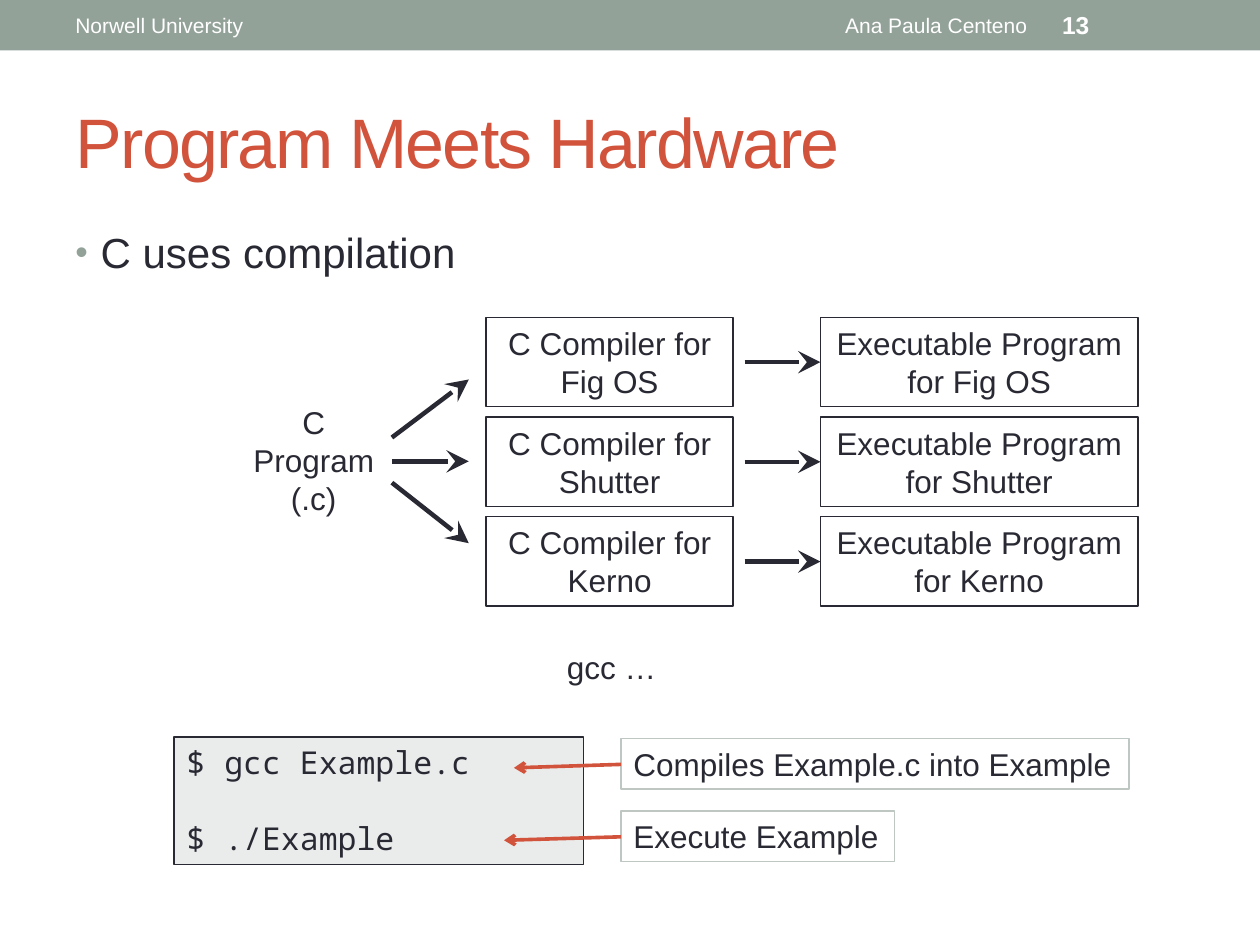
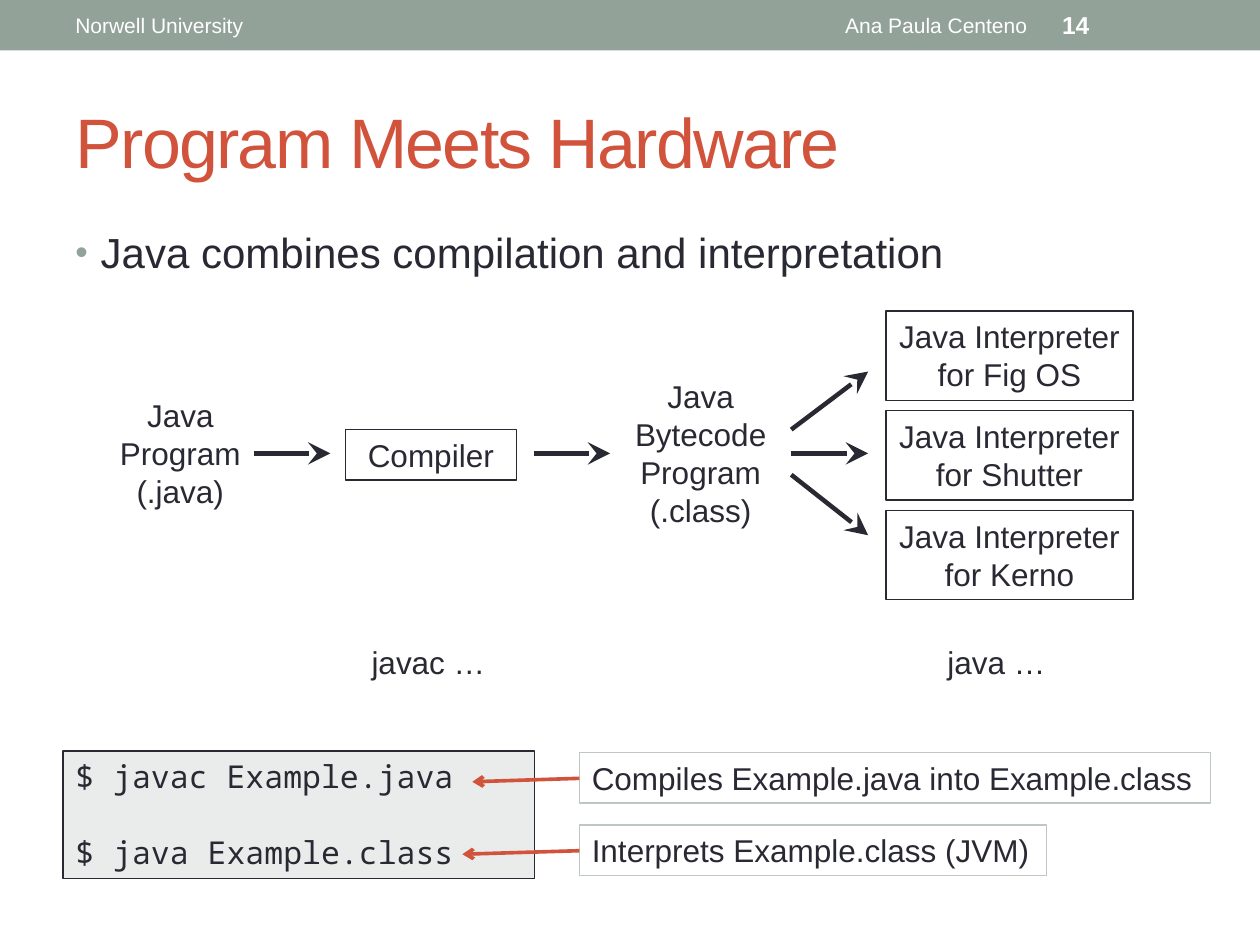
from dataclasses import dataclass
from typing import Optional

from lxml.etree import SubElement
from pptx import Presentation
from pptx.dml.color import RGBColor
from pptx.enum.shapes import MSO_CONNECTOR, MSO_SHAPE
from pptx.enum.text import MSO_ANCHOR, MSO_AUTO_SIZE, PP_ALIGN
from pptx.oxml.ns import qn
from pptx.util import Cm, Pt

# Colours and fonts
SAGE = RGBColor(0x93, 0xA2, 0x99)
PALE_SAGE = RGBColor(0xBE, 0xC7, 0xC2)
TERMINAL_GREY = RGBColor(0xE9, 0xEC, 0xEB)
RUST = RGBColor(0xD2, 0x53, 0x3C)
INK = RGBColor(0x29, 0x29, 0x34)
WHITE = RGBColor(0xFF, 0xFF, 0xFF)
SANS = "Arial"
MONO = "Noto Sans Mono"

# Shared measures, in centimetres unless a Pt
LINE_PITCH = Pt(21.7)
ONE_LINE, TWO_LINES, THREE_LINES, FOUR_LINES = 1.02, 1.8, 2.57, 3.33
ROW_STEP = 2.01
NOTE_STEP = 1.46
SYSTEMS = ("Fig OS", "Shutter", "Kerno")


@dataclass(frozen=True)
class Area:
    left: float
    top: float
    width: float
    height: float

    def lengths(self) -> tuple:
        return Cm(self.left), Cm(self.top), Cm(self.width), Cm(self.height)


@dataclass(frozen=True)
class TextStyle:
    size: float = 18
    color: RGBColor = INK
    font: str = SANS
    bold: bool = False
    align: PP_ALIGN = PP_ALIGN.LEFT
    anchor: MSO_ANCHOR = MSO_ANCHOR.TOP
    pitch: Optional[int] = None
    gap: int = 0


@dataclass(frozen=True)
class ArrowStyle:
    color: RGBColor
    width: float
    head: str
    head_size: str


@dataclass(frozen=True)
class Note:
    text: str
    width: float
    reach: float


TITLE = TextStyle(40, RUST, anchor=MSO_ANCHOR.MIDDLE)
BULLET = TextStyle(24)
BAND_LEFT = TextStyle(12, WHITE, anchor=MSO_ANCHOR.MIDDLE)
BAND_RIGHT = TextStyle(12, WHITE, align=PP_ALIGN.RIGHT, anchor=MSO_ANCHOR.MIDDLE)
BAND_NUMBER = TextStyle(14, WHITE, bold=True, anchor=MSO_ANCHOR.MIDDLE)
PLAIN = TextStyle(pitch=LINE_PITCH)
CENTERED = TextStyle(align=PP_ALIGN.CENTER, pitch=LINE_PITCH)
CODE = TextStyle(font=MONO, pitch=LINE_PITCH, gap=LINE_PITCH)

FLOW_ARROW = ArrowStyle(INK, 2.58, "stealth", "lg")
NOTE_ARROW = ArrowStyle(RUST, 2.08, "arrow", "med")


def apply(target, values: dict) -> None:
    for name, value in values.items():
        setattr(target, name, value)


def write(shape, text: str, style: TextStyle) -> None:
    """Fill a shape with text, one paragraph per line."""
    frame = shape.text_frame
    apply(frame, {"text": text, "word_wrap": True,
                  "auto_size": MSO_AUTO_SIZE.NONE,
                  "vertical_anchor": style.anchor})
    for index, paragraph in enumerate(frame.paragraphs):
        paragraph.alignment = style.align
        if style.pitch:
            paragraph.line_spacing = style.pitch
        if index and style.gap:
            paragraph.space_before = style.gap
        for run in paragraph.runs:
            apply(run.font, {"name": style.font, "size": Pt(style.size),
                             "bold": style.bold})
            run.font.color.rgb = style.color


def add_text(slide, area: Area, text: str, style: TextStyle):
    shape = slide.shapes.add_textbox(*area.lengths())
    write(shape, text, style)
    return shape


def add_box(slide, area: Area, text: str = "", style: TextStyle = CENTERED,
            line: Optional[RGBColor] = INK, fill: Optional[RGBColor] = None) -> None:
    shape = slide.shapes.add_shape(MSO_SHAPE.RECTANGLE, *area.lengths())
    shape.shadow.inherit = False
    if fill is None:
        shape.fill.background()
    else:
        shape.fill.solid()
        shape.fill.fore_color.rgb = fill
    if line is None:
        shape.line.fill.background()
    else:
        shape.line.color.rgb = line
        shape.line.width = Pt(0.75)
    if text:
        write(shape, text, style)


def add_arrow(slide, start: tuple, end: tuple, style: ArrowStyle = FLOW_ARROW) -> None:
    arrow = slide.shapes.add_connector(
        MSO_CONNECTOR.STRAIGHT, *(Cm(value) for value in (*start, *end)))
    arrow.line.color.rgb = style.color
    arrow.line.width = Pt(style.width)
    tail = SubElement(arrow.line._get_or_add_ln(), qn("a:tailEnd"))
    for name, value in (("type", style.head), ("w", style.head_size),
                        ("len", style.head_size)):
        tail.set(name, value)
    SubElement(arrow._element.spPr, qn("a:effectLst"))


def add_bullet(slide, text: str) -> None:
    shape = add_text(slide, Area(1.27, 4.45, 22.86, 2.34), text, BULLET)
    paragraph = shape.text_frame.paragraphs[0]
    paragraph.space_before = Pt(4.8)
    properties = paragraph._p.get_or_add_pPr()
    properties.set("marL", str(Cm(0.51)))
    properties.set("indent", str(-Cm(0.51)))
    color = SubElement(properties, qn("a:buClr"))
    SubElement(color, qn("a:srgbClr")).set("val", str(SAGE))
    SubElement(properties, qn("a:buSzPct")).set("val", "85000")
    SubElement(properties, qn("a:buFont")).set("typeface", SANS)
    SubElement(properties, qn("a:buChar")).set("char", "•")


def start_slide(presentation, number: int, bullet: str):
    """Add a slide with its band, title and bullet."""
    slide = presentation.slides.add_slide(presentation.slide_layouts[5])
    add_box(slide, Area(0, 0, 25.4, 1.02), line=None, fill=SAGE)
    title = slide.shapes.title
    apply(title, dict(zip(("left", "top", "width", "height"),
                          Area(1.27, 1.47, 22.86, 2.74).lengths())))
    write(title, "Program Meets Hardware", TITLE)
    for run in title.text_frame.paragraphs[0].runs:
        run.font._element.set("spc", "-100")
    add_bullet(slide, bullet)
    add_text(slide, Area(1.27, 0.05, 8.05, 0.91), "Norwell University", BAND_LEFT)
    add_text(slide, Area(9.53, 0.05, 11.43, 0.91), "Ana Paula Centeno", BAND_RIGHT)
    add_text(slide, Area(21.16, 0.05, 2.97, 0.91), str(number), BAND_NUMBER)
    return slide


def add_system_boxes(slide, left: float, top: float, width: float, label: str) -> None:
    """Stack one box for each operating system."""
    for row, system in enumerate(SYSTEMS):
        add_box(slide, Area(left, top + row * ROW_STEP, width, TWO_LINES),
                f"{label} {system}")


def add_fan(slide, left: float, middle: float) -> None:
    """Spread three arrows towards the stacked boxes."""
    for start, end in ((-0.48, -1.65), (0, 0), (0.43, 1.65)):
        add_arrow(slide, (left, middle + start), (left + 1.55, middle + end))


def add_terminal(slide, area: Area, commands: str, note_left: float,
                 notes: tuple) -> None:
    """Draw the command window and the notes that point into it."""
    add_box(slide, area, commands, CODE, fill=TERMINAL_GREY)
    for row, note in enumerate(notes):
        top = area.top + 0.03 + row * NOTE_STEP
        add_box(slide, Area(note_left, top, note.width, ONE_LINE), note.text,
                PLAIN, line=PALE_SAGE)
        add_arrow(slide, (note_left, top + 0.52),
                  (note_left - note.reach, top + 0.59), NOTE_ARROW)


def build_c_slide(presentation) -> None:
    slide = start_slide(presentation, 13, "C uses compilation")
    # Program, compilers and executables
    add_text(slide, Area(4.85, 8, 2.95, THREE_LINES), "C Program\n(.c)", CENTERED)
    add_fan(slide, 7.9, 9.3)
    add_system_boxes(slide, 9.8, 6.4, 4.98, "C Compiler for")
    add_system_boxes(slide, 16.54, 6.4, 6.4, "Executable Program for")
    for row in range(len(SYSTEMS)):
        middle = 7.3 + row * ROW_STEP
        add_arrow(slide, (15.01, middle), (16.54, middle))
    add_text(slide, Area(11.18, 12.93, 2.34, ONE_LINE), "gcc …", PLAIN)
    # Commands
    add_terminal(slide, Area(3.51, 14.86, 8.26, THREE_LINES),
                 "$ gcc Example.c\n$ ./Example", 12.52,
                 (Note("Compiles Example.c into Example", 10.24, 2.16),
                  Note("Execute Example", 5.51, 2.36)))


def build_java_slide(presentation) -> None:
    slide = start_slide(presentation, 14, "Java combines compilation and interpretation")
    # Program, compiler, bytecode and interpreters
    middle = 9.14
    add_text(slide, Area(2.16, 7.85, 2.95, THREE_LINES), "Java Program\n(.java)", CENTERED)
    add_box(slide, Area(6.96, 8.66, 3.45, ONE_LINE), "Compiler")
    add_text(slide, Area(12.4, 7.47, 3.45, FOUR_LINES),
             "Java\nBytecode Program\n(.class)", CENTERED)
    for left in (5.13, 10.77):
        add_arrow(slide, (left, middle), (left + 1.53, middle))
    add_fan(slide, 15.95, middle)
    add_system_boxes(slide, 17.86, 6.27, 4.98, "Java Interpreter for")
    add_text(slide, Area(7.24, 12.83, 2.87, ONE_LINE), "javac …", PLAIN)
    add_text(slide, Area(18.85, 12.83, 2.54, ONE_LINE), "java …", PLAIN)
    # Commands
    add_terminal(slide, Area(1.27, 15.14, 9.5, THREE_LINES),
                 "$ javac Example.java\n$ java Example.class", 11.68,
                 (Note("Compiles Example.java into Example.class", 12.73, 2.16),
                  Note("Interprets Example.class (JVM)", 9.42, 2.36)))


def main() -> None:
    presentation = Presentation()
    presentation.slide_width = Cm(25.4)
    presentation.slide_height = Cm(19.05)
    build_c_slide(presentation)
    build_java_slide(presentation)
    presentation.save("out.pptx")


if __name__ == "__main__":
    main()
